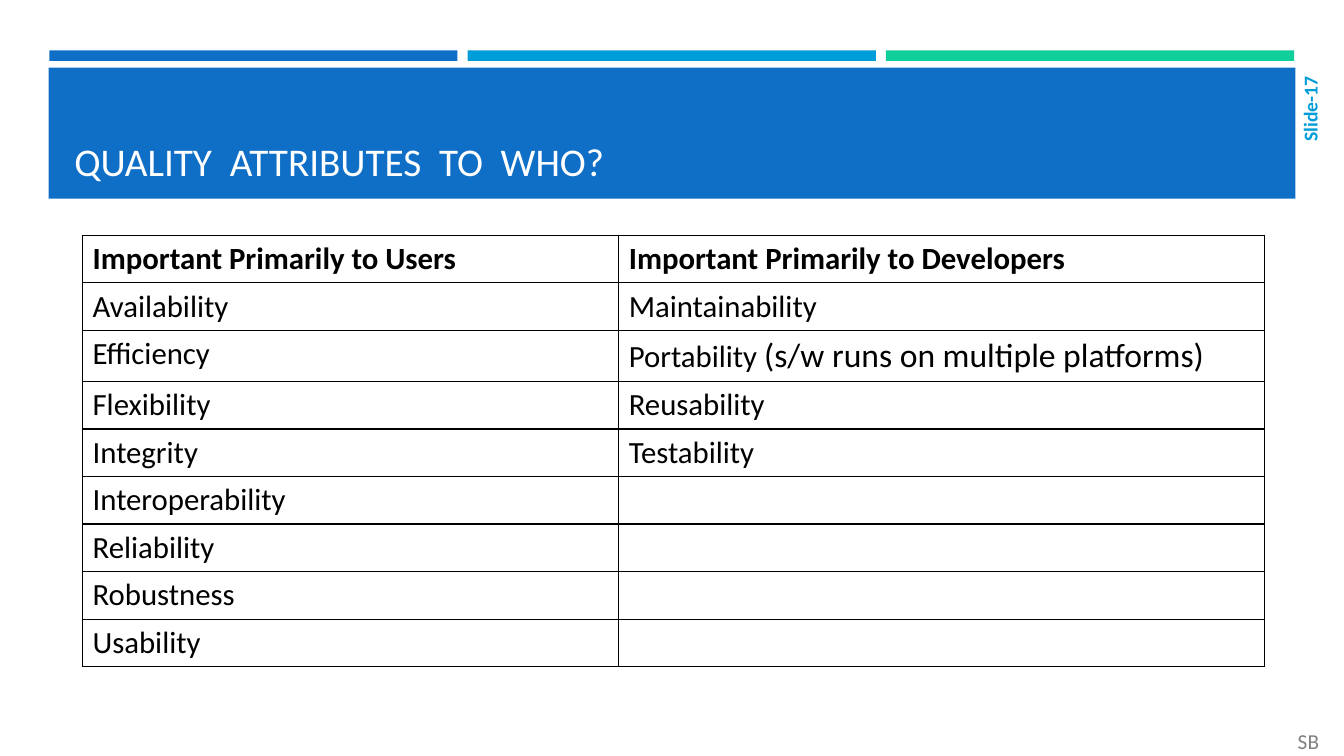
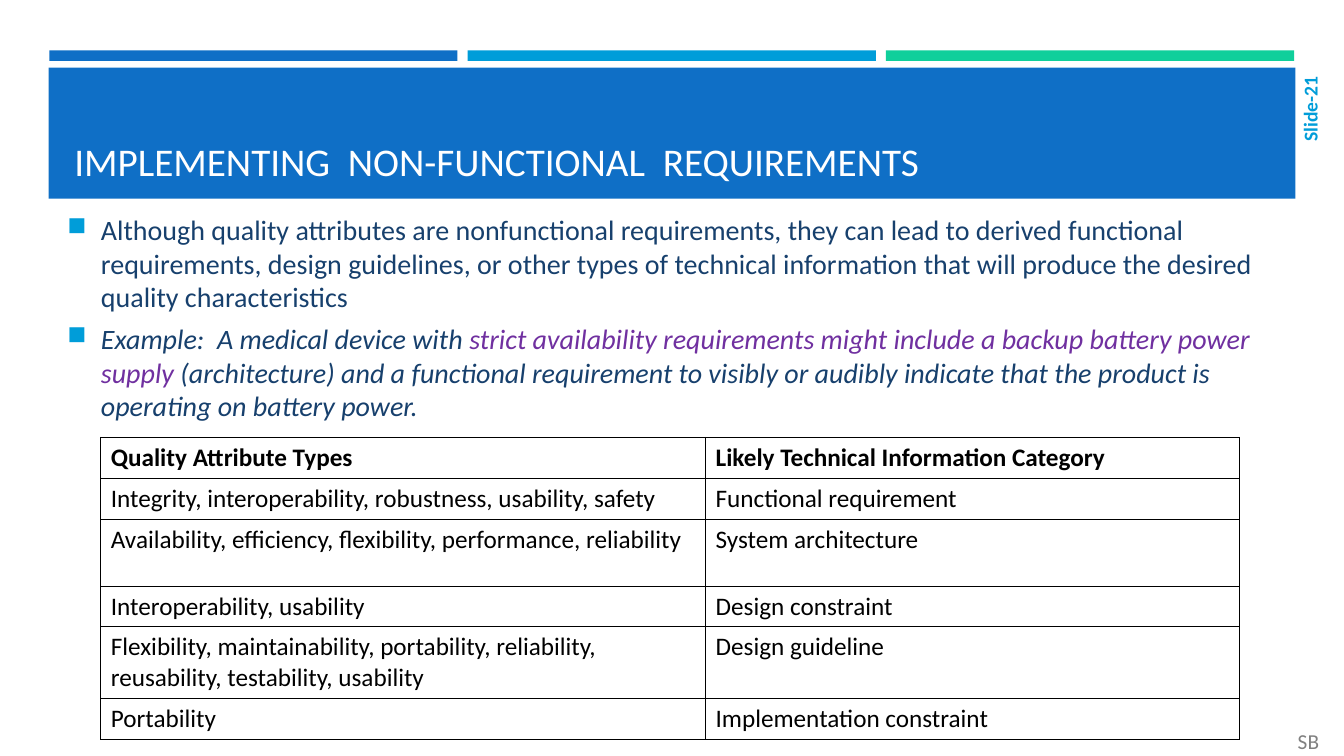
from lxml import etree
from pptx import Presentation
from pptx.dml.color import RGBColor
from pptx.enum.shapes import MSO_SHAPE
from pptx.enum.text import MSO_ANCHOR, PP_ALIGN
from pptx.oxml.ns import qn
from pptx.util import Pt

RECT = MSO_SHAPE.RECTANGLE
TOP, MID, LOW = MSO_ANCHOR.TOP, MSO_ANCHOR.MIDDLE, MSO_ANCHOR.BOTTOM
LEFT, MIDST, RIGHT = PP_ALIGN.LEFT, PP_ALIGN.CENTER, PP_ALIGN.RIGHT

COLORS = {
    "blue": "0F6FC6", "sky": "009DD9", "green": "10CF9B", "navy": "17406D",
    "plum": "7030A0", "gray": "808080", "white": "FFFFFF", "black": "000000",
}
FONT = "Calibri"
EDGES = ("a:lnL", "a:lnR", "a:lnT", "a:lnB")

USERS = [
    ("Important Primarily to Users", "Important Primarily to Developers"),
    ("Availability", "Maintainability"),
    ("Efficiency", [("Portability ", {}),
                    ("(s/w runs on multiple platforms)", {"size": 24})]),
    ("Flexibility", "Reusability"),
    ("Integrity", "Testability"),
    ("Interoperability", ""),
    ("Reliability", ""),
    ("Robustness", ""),
    ("Usability", ""),
]
TYPES = [
    ("Quality Attribute Types", "Likely Technical Information Category"),
    ("Integrity, interoperability, robustness, usability, safety",
     "Functional requirement"),
    ("Availability, efficiency, flexibility, performance, reliability",
     "System architecture"),
    ("Interoperability, usability", "Design constraint"),
    ("Flexibility, maintainability, portability, reliability, "
     "reusability, testability, usability", "Design guideline"),
    ("Portability", "Implementation constraint"),
]
POINTS = [
    "Although quality attributes are nonfunctional requirements, they can lead "
    "to derived functional requirements, design guidelines, or other types of "
    "technical information that will produce the desired quality characteristics",
    [("Example:  A medical device with ", {"slant": True}),
     ("strict availability requirements might include a backup battery power supply ",
      {"slant": True, "color": "plum"}),
     ("(architecture) and a functional requirement to visibly or audibly indicate "
      "that the product is operating on battery power.", {"slant": True})],
]


class Deck:
    def __init__(self):
        self.show = Presentation()
        self.show.slide_width, self.show.slide_height = Pt(960), Pt(540)
        self.slide = None

    def page(self, title, number):
        self.slide = self.show.slides.add_slide(self.show.slide_layouts[6])
        for col, color in enumerate(("blue", "sky", "green")):
            self.bar(35.2 + col * 298.8, 36, 291.6, 7.5, color)
        self.bar(34.8, 48.4, 890.6, 93.6, "blue")
        self.text(46, 55.4, 868.4, 80, [title], LOW, size=28, color="white")
        frame = self.text(926.6, 47.5, 18, 65.5, [f"Slide-{number}"], MID, RIGHT,
                          size=14, color="sky", bold=True)
        frame.margin_left = frame.margin_right = 0
        frame._txBody.bodyPr.set("vert", "vert270")
        self.text(909.4, 518.4, 50.4, 21.6, ["SB"], MID, MIDST,
                  size=15.2, color="gray")

    def bar(self, x, y, w, h, color):
        bar = self.slide.shapes.add_shape(RECT, Pt(x), Pt(y), Pt(w), Pt(h))
        bar.shadow.inherit = False
        bar.fill.solid()
        bar.fill.fore_color.rgb = RGBColor.from_string(COLORS[color])
        bar.line.fill.background()

    def text(self, x, y, w, h, lines, anchor=TOP, align=LEFT, **style):
        box = self.slide.shapes.add_textbox(Pt(x), Pt(y), Pt(w), Pt(h))
        frame = box.text_frame
        frame.word_wrap = True
        frame.vertical_anchor = anchor
        for i, line in enumerate(lines):
            para = frame.add_paragraph() if i else frame.paragraphs[0]
            para.alignment = align
            self.put(para, line, **style)
        return frame

    def put(self, para, line, **style):
        parts = [(line, {})] if isinstance(line, str) else line
        for words, extra in parts:
            run = para.add_run()
            run.text = words
            self.dress(run.font, **{**style, **extra})

    def dress(self, font, size, color, bold=False, slant=False):
        font.name, font.size = FONT, Pt(size)
        font.bold, font.italic = bold, slant
        font.color.rgb = RGBColor.from_string(COLORS[color])

    def bullets(self, x, y, w, h, lines):
        frame = self.text(x, y, w, h, lines, MID, size=20, color="navy")
        for para in frame.paragraphs:
            para.space_after = Pt(6)
            props = para._p.get_or_add_pPr()
            props.set("marL", str(Pt(24)))
            props.set("indent", str(-Pt(24)))
            tint = etree.SubElement(props, qn("a:buClr"))
            etree.SubElement(tint, qn("a:srgbClr"), val=COLORS["sky"])
            etree.SubElement(props, qn("a:buSzPct"), val="92000")
            etree.SubElement(props, qn("a:buChar"), char="■")

    def table(self, x, y, cols, rows, data, size, line, head=TOP):
        grid = self.slide.shapes.add_table(
            len(rows), len(cols), Pt(x), Pt(y), Pt(sum(cols)), Pt(sum(rows))).table
        grid.first_row = grid.horz_banding = False
        for col, width in zip(grid.columns, cols):
            col.width = Pt(width)
        for r, (high, words) in enumerate(zip(rows, data)):
            grid.rows[r].height = Pt(high)
            for c, word in enumerate(words):
                cell = grid.cell(r, c)
                cell.vertical_anchor = TOP if r else head
                self.border(cell, line)
                cell.fill.background()
                if word:
                    self.put(cell.text_frame.paragraphs[0], word,
                             size=size, color="black", bold=r == 0)

    def border(self, cell, line):
        props = cell._tc.get_or_add_tcPr()
        for edge in EDGES:
            side = etree.SubElement(props, qn(edge), w=str(Pt(line)))
            fill = etree.SubElement(side, qn("a:solidFill"))
            etree.SubElement(fill, qn("a:srgbClr"), val=COLORS["black"])


def main():
    deck = Deck()
    deck.page("QUALITY  ATTRIBUTES  TO  WHO?", 17)
    deck.table(59, 168, (383, 461), [34, 34, 36.4] + [34] * 6, USERS, 22, 1, MID)

    deck.page("IMPLEMENTING  NON-FUNCTIONAL  REQUIREMENTS", 21)
    deck.bullets(41, 151.2, 868.4, 151.2, POINTS)
    deck.table(72, 312.4, (432, 381.6), (29.2, 29.2, 47.8, 29.2, 51.2, 29.2),
               TYPES, 18, 0.75)
    deck.show.save("out.pptx")


if __name__ == "__main__":
    main()
